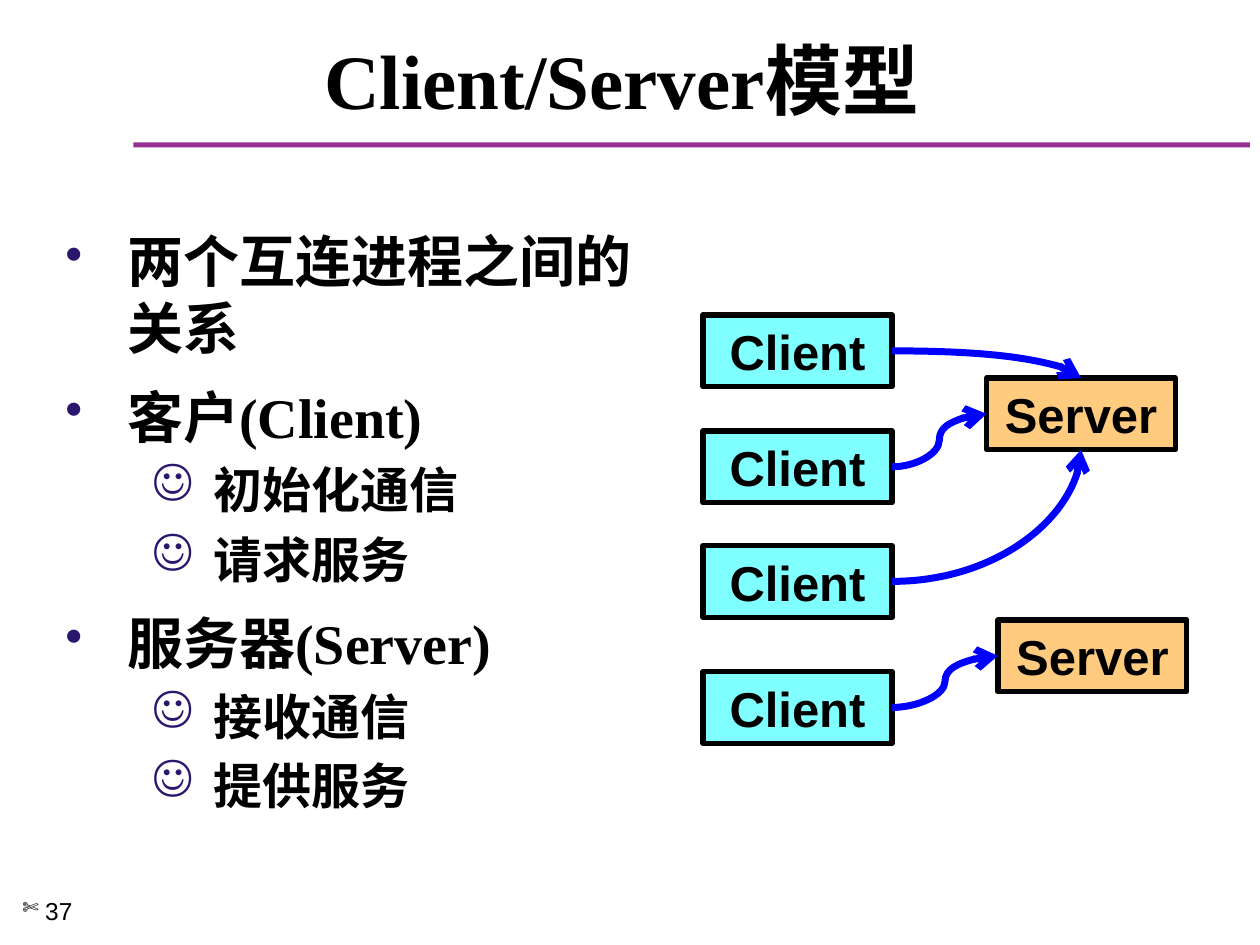
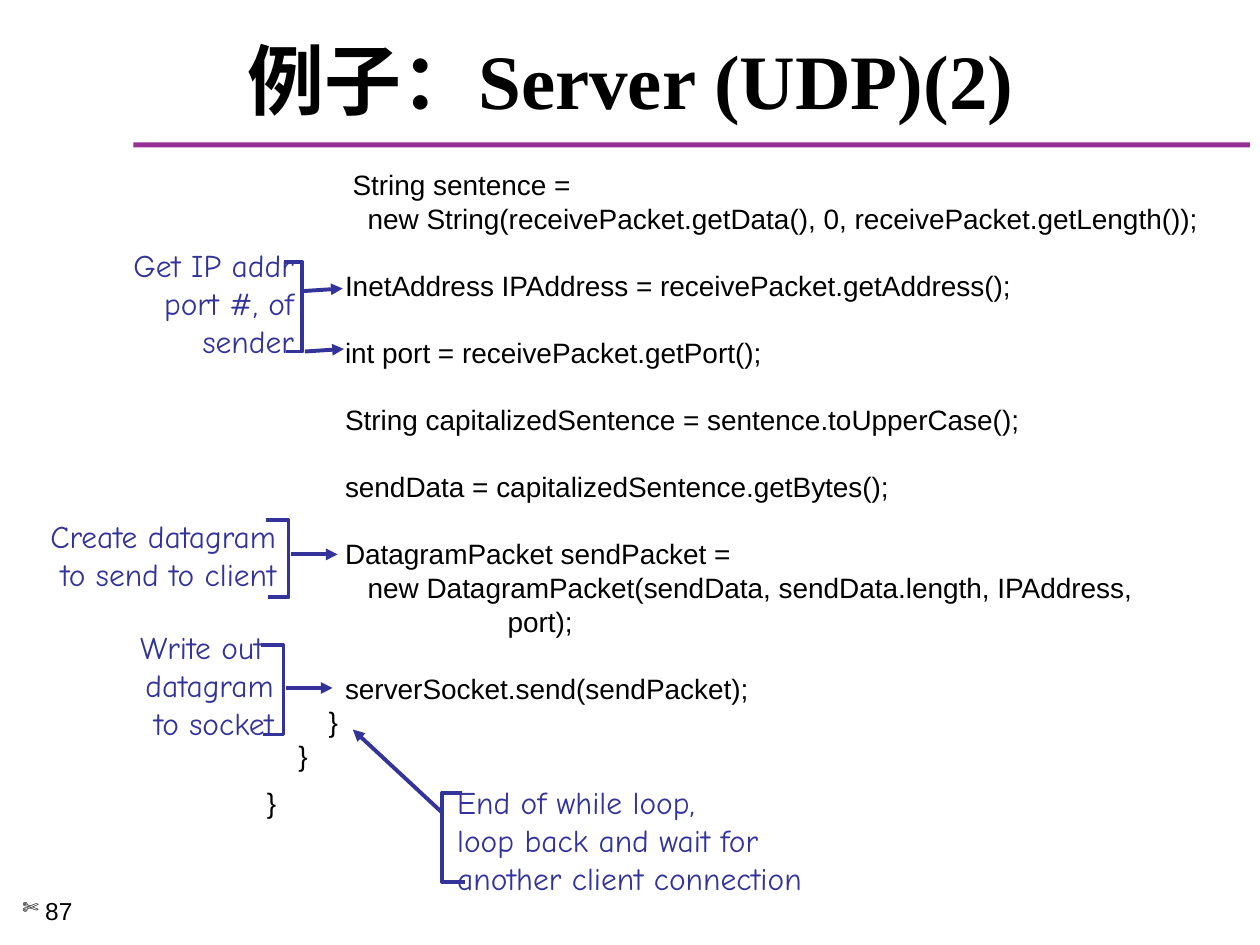
from lxml import etree
from pptx import Presentation
from pptx.dml.color import RGBColor
from pptx.enum.shapes import MSO_CONNECTOR as Link, MSO_SHAPE as Shape
from pptx.enum.text import MSO_ANCHOR as Anchor, PP_ALIGN as Align
from pptx.oxml.ns import qn
from pptx.util import Inches, Pt

rgb = RGBColor.from_string
BLACK, PURPLE, MARK, NAVY, BLUE = "000000", "973095", "2B166E", "333399", "0000FF"
HAN = "Noto Sans CJK SC"
HEAD = dict(name="Times New Roman", size=Pt(44), bold=True)
ITEM = dict(name="Times New Roman", size=Pt(32), bold=True)
SUB = dict(name=HAN, size=Pt(28), bold=True)
LABEL = dict(name="Arial", size=Pt(28), bold=True)
PAGE = dict(name="Arial", size=Pt(14))
CODE = dict(name="Arial", size=Pt(16))
NOTE = dict(name="Comic Neue", size=Pt(18))


def write(par, text, font, color=BLACK, left=0, hang=0, bullet=None, scale=100, **form):
    """Fill one paragraph; form holds paragraph attributes such as alignment."""
    run = par.add_run()
    run.text = text
    for key, val in font.items():
        setattr(run.font, key, val)
    run.font.color.rgb = rgb(color)
    etree.SubElement(run.font._element, qn("a:ea")).set("typeface", HAN)
    for key, val in form.items():
        setattr(par, key, val)
    props = par._p.get_or_add_pPr()
    props.set("marL", str(Inches(left)))
    props.set("indent", str(-Inches(hang)))
    if bullet:
        tint = etree.SubElement(props, qn("a:buClr"))
        etree.SubElement(tint, qn("a:srgbClr")).set("val", MARK if scale > 80 else BLACK)
        etree.SubElement(props, qn("a:buSzPct")).set("val", str(scale * 1000))
        etree.SubElement(props, qn("a:buChar")).set("char", bullet)


def arrow(slide, kind, start, end, color, width, tip):
    line = slide.shapes.add_connector(kind, *[Inches(v) for v in (*start, *end)])
    line.line.color.rgb = rgb(color)
    line.line.width = Pt(width)
    etree.SubElement(line.line._get_or_add_ln(), qn("a:tailEnd")).set("type", tip)
    etree.SubElement(line._element.spPr, qn("a:effectLst"))
    return line


prs = Presentation()
prs.slide_width, prs.slide_height = Inches(10), Inches(7.5)

# Shared frame: title, rule and page number
slides = []
for title, page in [("Client/Server模型 ", "37"), ("例子：Server (UDP)(2)", "87")]:
    slide = prs.slides.add_slide(prs.slide_layouts[5])
    slides.append(slide)
    rule = slide.shapes.add_shape(
        Shape.RECTANGLE, Inches(1.06), Inches(1.13), Inches(8.86), Inches(0.04))
    rule.shadow.inherit = False
    rule.fill.solid()
    rule.fill.fore_color.rgb = rgb(PURPLE)
    rule.line.fill.background()
    head = slide.shapes.title
    head.left, head.top, head.width, head.height = map(Inches, (0.17, 0.25, 9.67, 0.75))
    head.text_frame.vertical_anchor = Anchor.MIDDLE
    write(head.text_frame.paragraphs[0], title, HEAD, alignment=Align.CENTER)
    foot = slide.shapes.add_textbox(Inches(0.08), Inches(7.06), Inches(1.08), Inches(0.44))
    foot.text_frame.word_wrap = True
    write(foot.text_frame.paragraphs[0], page, PAGE,
          left=0.18, hang=0.18, bullet="✄", scale=80)

model, code = slides

# Client/Server model: bullets
items = [
    ("两个互连进程之间的关系", []),
    ("客户(Client)", ["初始化通信", "请求服务"]),
    ("服务器(Server)", ["接收通信", "提供服务"]),
]
body = model.shapes.add_textbox(Inches(0.42), Inches(1.75), Inches(5), Inches(5.33))
frame = body.text_frame
frame.word_wrap = True
par = frame.paragraphs[0]
for i, (item, subs) in enumerate(items):
    if i:
        par = frame.add_paragraph()
    write(par, item, ITEM, left=0.49, hang=0.49, bullet="•", scale=90,
          space_before=Pt(12 if i else 6), line_spacing=Pt(38.4))
    for sub in subs:
        par = frame.add_paragraph()
        par.level = 1
        write(par, sub, SUB, left=1.18, hang=0.49, bullet="☺",
              space_before=Pt(6), line_spacing=Pt(33.6))

# Client/Server model: boxes and links
WIDE, HIGH = 1.5, 0.57
clients = [(5.58, top) for top in (2.5, 3.42, 4.33, 5.33)]
servers = [(7.83, 3), (7.92, 4.92)]
boxes = {}
for name, spots, fill in [("Client", clients, "00FFFF"), ("Server", servers, "FF9900")]:
    for x, y in spots:
        box = model.shapes.add_shape(
            Shape.RECTANGLE, Inches(x), Inches(y), Inches(WIDE), Inches(HIGH))
        box.shadow.inherit = False
        box.fill.solid()
        box.fill.fore_color.rgb = rgb(fill)
        tint = box._element.spPr.find(".//" + qn("a:srgbClr"))
        etree.SubElement(tint, qn("a:alpha")).set("val", "50000")
        box.line.color.rgb = rgb(BLACK)
        box.line.width = Pt(3)
        box.text_frame.vertical_anchor = Anchor.MIDDLE
        write(box.text_frame.paragraphs[0], name, LABEL, alignment=Align.CENTER)
        boxes[x, y] = box

# Connection sites of a rectangle, as shares of its width and height
TOP, LEFT, BASE, RIGHT = range(4)
share = {TOP: (0.5, 0), LEFT: (0, 0.5), BASE: (0.5, 1)}
for client, (server, site) in zip(
        clients, [(0, TOP), (0, LEFT), (0, BASE), (1, LEFT)]):
    x, y = servers[server]
    dx, dy = share[site]
    link = arrow(model, Link.CURVE, (client[0] + WIDE, client[1] + HIGH / 2),
                 (x + dx * WIDE, y + dy * HIGH), BLUE, 4, "arrow")
    if site != LEFT:
        link._element.spPr.find(qn("a:prstGeom")).set("prst", "curvedConnector2")
    link.begin_connect(boxes[client], RIGHT)
    link.end_connect(boxes[x, y], site)

# Server code: text, left indent, space before in points
GAP = 19.2
lines = [
    ("String sentence =", 0.68, 0),
    ("new String(receivePacket.getData(), 0, receivePacket.getLength());", 0.8, 0),
    ("InetAddress IPAddress = receivePacket.getAddress();", 0.62, GAP),
    ("int port = receivePacket.getPort();", 0.62, GAP),
    ("String capitalizedSentence = sentence.toUpperCase();", 0.62, GAP),
    ("sendData = capitalizedSentence.getBytes();", 0.62, GAP),
    ("DatagramPacket sendPacket =", 0.62, GAP),
    ("new DatagramPacket(sendData, sendData.length, IPAddress,", 0.8, 0),
    ("port);", 1.91, 0),
    ("serverSocket.send(sendPacket);", 0.62, GAP),
    ("}", 0.49, 0),
    ("}", 0.25, 0),
    ("}", 0, 8),
]
text = code.shapes.add_textbox(Inches(2.02), Inches(1.28), Inches(7.76), Inches(5.35))
frame = text.text_frame
frame.word_wrap = True
for i, (line, left, gap) in enumerate(lines):
    par = frame.add_paragraph() if i else frame.paragraphs[0]
    write(par, line, CODE, left=left, space_before=Pt(gap), line_spacing=Pt(GAP))

# Notes: lines, box, alignment, bracket (tip, spine, top, base), arrows
notes = [
    (["Get IP addr", "port #, of", "sender"], (0.14, 1.9, 2.29, 1.01), Align.RIGHT,
     (2.25, 2.4, 2.08, 2.79),
     [((2.41, 2.31), (2.72, 2.29)), ((2.42, 2.79), (2.73, 2.77))]),
    (["Create datagram", "to send to client"], (0.11, 4.05, 2.18, 0.71), Align.RIGHT,
     (2.11, 2.29, 4.13, 4.74), [((2.31, 4.4), (2.68, 4.4))]),
    (["Write out ", "datagram", "to socket"], (0.82, 4.93, 1.45, 1.01), Align.RIGHT,
     (2.07, 2.25, 5.12, 5.83), [((2.27, 5.46), (2.64, 5.46))]),
    (["End of while loop,", "loop back and wait for", "another client connection"],
     (3.53, 6.16, 3.18, 1.01), Align.LEFT,
     (3.67, 3.51, 6.29, 7), [((3.51, 6.45), (2.8, 5.79))]),
]
for words, area, side, (tip, spine, top, base), arrows in notes:
    note = code.shapes.add_textbox(*map(Inches, area))
    frame = note.text_frame
    frame.word_wrap = True
    frame.vertical_anchor = Anchor.MIDDLE
    for i, word in enumerate(words):
        par = frame.add_paragraph() if i else frame.paragraphs[0]
        write(par, word, NOTE, NAVY, alignment=side, line_spacing=Pt(21.6))
    pen = code.shapes.build_freeform(Inches(tip), Inches(top))
    pen.add_line_segments(
        [(Inches(x), Inches(y)) for x, y in
         [(spine, top), (spine, base), (tip + 0.02, base)]], close=False)
    brace = pen.convert_to_shape()
    brace.shadow.inherit = False
    brace.fill.background()
    brace.line.color.rgb = rgb(NAVY)
    brace.line.width = Pt(2.25)
    for start, end in arrows:
        arrow(code, Link.STRAIGHT, start, end, NAVY, 2.25, "triangle")

prs.save("out.pptx")
